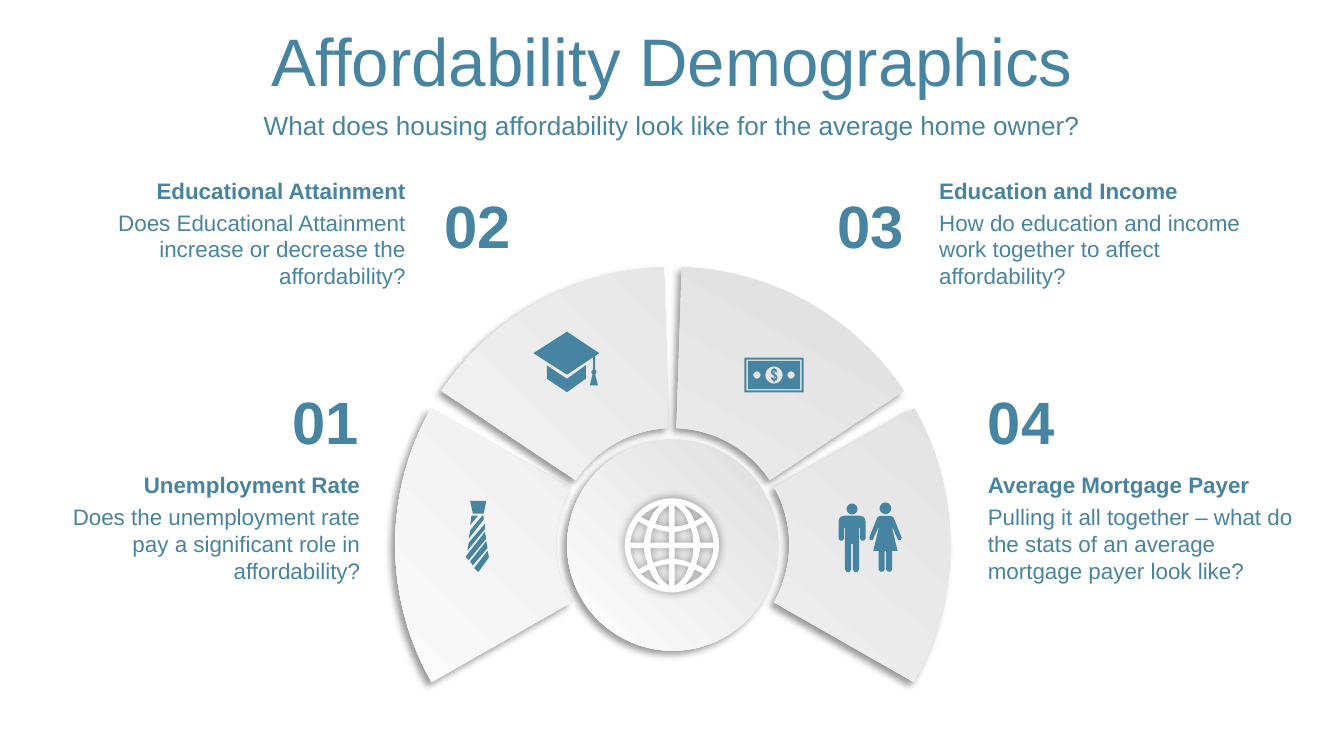
"""Build the Affordability Demographics slide."""
import math

import pptx
import pptx.dml.color
import pptx.enum.shapes
import pptx.enum.text
import pptx.oxml
import pptx.oxml.ns
import pptx.util

Cm = pptx.util.Cm
Pt = pptx.util.Pt
SHAPE = pptx.enum.shapes.MSO_SHAPE
ALIGN = pptx.enum.text.PP_ALIGN
ANCHOR = pptx.enum.text.MSO_ANCHOR
FIT = pptx.enum.text.MSO_AUTO_SIZE


def color(value):
    return pptx.dml.color.RGBColor.from_string(value)


def rectangle(left, top, right, bottom):
    return [(left, top), (right, top), (right, bottom), (left, bottom)]


def disc(x, y, radius, steps=48):
    angles = [2 * math.pi * step / steps for step in range(steps)]
    return [(x + radius * math.cos(a), y + radius * math.sin(a)) for a in angles]


def symmetric(half, center):
    return half + [(2 * center - x, y) for x, y in reversed(half)]


class Slide:
    accent = "4784A1"
    font = "Arial"
    gradient = ("DEDEDE", "FFFFFF")

    def __init__(self, deck):
        self.page = deck.slides.add_slide(deck.slide_layouts[6])

    def text(self, words, left, top, width, height, size, bold=False,
             align=ALIGN.LEFT, wrap=True, anchor=ANCHOR.TOP,
             fit=FIT.SHAPE_TO_FIT_TEXT, parent=None):
        shapes = (parent or self.page).shapes
        box = shapes.add_textbox(Cm(left), Cm(top), Cm(width), Cm(height))
        frame = box.text_frame
        frame.word_wrap = wrap
        frame.auto_size = fit
        frame.vertical_anchor = anchor
        para = frame.paragraphs[0]
        para.alignment = align
        span = para.add_run()
        span.text = words
        span.font.name = self.font
        span.font.size = Pt(size)
        span.font.bold = bold
        span.font.color.rgb = color(self.accent)

    def banner(self, words, top, height, size):
        self.text(words, 0, top, 25.4, height, size, align=ALIGN.CENTER,
                  anchor=ANCHOR.MIDDLE, fit=FIT.NONE)

    def topic(self, heading, question, left, top, align):
        group = self.page.shapes.add_group_shape()
        self.text(question, left, top + 0.6, 6.45, 1.8, 12, align=align, parent=group)
        self.text(heading, left, top, 6.45, 0.76, 12, True, align, parent=group)

    def number(self, words, left, top):
        self.text(words, left, top, 1.78, 1.63, 32, True, wrap=False)

    def shadow(self, shape, blur, distance, angle):
        shape.shadow.inherit = False
        effects = shape._element.spPr.find(pptx.oxml.ns.qn("a:effectLst"))
        effects.append(pptx.oxml.parse_xml(
            f'<a:outerShdw {pptx.oxml.ns.nsdecls("a")} blurRad="{Pt(blur)}" '
            f'dist="{Pt(distance)}" dir="{angle * 60000}" algn="ctr" rotWithShape="0">'
            '<a:srgbClr val="000000"><a:alpha val="40000"/></a:srgbClr></a:outerShdw>'))

    def panel(self, kind, left, top, size, angle=135, adjustments=(), flipped=False):
        shape = self.page.shapes.add_shape(kind, Cm(left), Cm(top), Cm(size), Cm(size))
        for index, value in enumerate(adjustments):
            shape.adjustments[index] = value
        if flipped:
            shape._element.spPr.xfrm.set("flipH", "1")
        shape.fill.gradient()
        shape.fill.gradient_angle = 360 - angle
        for stop, tone in zip(shape.fill.gradient_stops, self.gradient):
            stop.color.rgb = color(tone)
        shape.line.fill.background()
        self.shadow(shape, 4, 3, 135)

    def icon(self, left, top, contours, fill=accent):
        scaled = [[(x * 10, y * 10) for x, y in contour] for contour in contours]
        builder = self.page.shapes.build_freeform(*scaled[0][0], scale=Cm(2.54) / 1000)
        for index, contour in enumerate(scaled):
            if index:
                builder.move_to(*contour[0])
            builder.add_line_segments(contour[1:], close=True)
        shape = builder.convert_to_shape(Cm(left), Cm(top))
        shape.fill.solid()
        shape.fill.fore_color.rgb = color(fill)
        shape.line.fill.background()
        shape.shadow.inherit = False
        return shape


WINDOWS = [
    [(2, 2), (16, 2), (15.5, 8), (14, 13), (8, 11), (2, 10)],
    [(2, 14), (7, 14.5), (12.5, 16), (9.5, 23), (6, 27), (2, 30)],
    [(21, 2), (31, 2), (30, 8), (28, 13), (25, 18), (18, 14), (20, 8)],
    [(17, 18), (23, 21), (20, 24), (15, 27), (9, 30), (14, 24)],
]
GLOBE = [disc(0, 0, 35, 96)] + [
    [(x * across, y * down) for x, y in window]
    for window in WINDOWS for across in (1, -1) for down in (1, -1)]
BILL = [
    rectangle(0, 0, 44, 26), rectangle(1.5, 1.5, 42.5, 24.5), rectangle(2.5, 2.5, 41.5, 23.5),
    disc(22, 13, 6.4), disc(9.3, 13, 2.7), disc(34.7, 13, 2.7),
    [(21.8, 7.6), (22.4, 7.6), (22.4, 8.2), (24, 9), (24.4, 11), (23.4, 11), (22.4, 9.2),
     (22.4, 12.3), (24.2, 13.5), (24.6, 15), (23.9, 16.8), (22.4, 17.4), (22.4, 18.4),
     (21.8, 18.4), (21.8, 17.4), (20.2, 16.5), (19.6, 14.8), (20.7, 14.8), (21.8, 16.3),
     (21.8, 13.2), (20.2, 12.3), (19.8, 10.5), (20.4, 8.8), (21.8, 8.2)],
    [(22.4, 13.4), (23.5, 14.8), (22.4, 16.3)],
    [(21.8, 9.2), (20.9, 10.4), (21.8, 12)],
]
TIE = [
    [(16, 37), (17, 42), (9, 53), (6, 50)],
    [(15, 30), (16, 35), (5, 48), (3, 45)],
    [(14, 23), (15, 28), (2, 44), (0, 42), (0, 41)],
    [(14, 17), (14, 21), (1, 37), (2, 31)],
    [(12, 11), (13, 11), (13, 14), (2, 28), (3, 22)],
    [(4, 11), (9, 11), (3, 18)],
    [(3, 0), (15, 0), (13, 9.5), (5, 9.5)],
]
CAP = [
    [(10, 25), (25, 35), (39, 25), (39, 35), (25, 45), (10, 35)],
    [(25, 0), (49, 16), (46, 18), (46, 28), (47, 30), (46, 32), (48, 40), (42, 40),
     (44, 32), (43, 30), (44.5, 28), (44.5, 19), (25, 32), (0, 16)],
]
MAN = [
    disc(10, 4, 4),
    symmetric([(10, 9), (16, 9), (19, 10), (20, 13), (20, 26), (19, 27.5), (17, 27.5),
               (16, 26), (16, 18), (15.3, 18), (15.3, 49), (14, 51), (12, 51), (10.7, 49),
               (10.7, 30), (10, 30)], 10),
]
WOMAN = [
    disc(12, 4.3, 4.3),
    symmetric([(12, 10), (16, 10), (18, 11), (24, 26), (23.5, 28), (21.5, 28), (17.5, 19),
               (17, 19), (21, 36), (17, 36), (17, 50), (15.8, 51.5), (13.8, 51.5),
               (12.6, 50), (12.6, 36), (12, 36)], 12),
]
LOWER_ARC = (90.19, 125.64, 0.29)
UPPER_ARC = (128.17, 160.88, 0.29)


def main():
    deck = pptx.Presentation()
    deck.slide_width, deck.slide_height = Cm(25.4), Cm(14.29)
    slide = Slide(deck)
    for arc, angle, flipped in ((LOWER_ARC, 135, False), (UPPER_ARC, 135, False),
                                (LOWER_ARC, 50, True), (UPPER_ARC, 60, True)):
        slide.panel(SHAPE.BLOCK_ARC, 7.47, 5.05, 10.49, angle, arc, flipped)
    slide.banner("Affordability Demographics", 0.33, 1.6, 36)
    slide.panel(SHAPE.OVAL, 10.72, 8.31, 3.99)
    globe = slide.icon(12.7, 10.31, GLOBE, "FFFFFF")
    slide.shadow(globe, 5, 0, 0)
    for heading, question, left, top, align in (
            ("Unemployment Rate",
             "Does the unemployment rate pay a significant role in affordability?",
             0.61, 8.79, ALIGN.RIGHT),
            ("Average Mortgage Payer",
             "Pulling it all together – what do the stats of an average mortgage payer look like?",
             18.42, 8.79, ALIGN.LEFT),
            ("Educational Attainment",
             "Does Educational Attainment increase or decrease the affordability?",
             1.47, 3.22, ALIGN.RIGHT),
            ("Education and Income",
             "How do education and income work together to affect affordability?",
             17.5, 3.22, ALIGN.LEFT)):
        slide.topic(heading, question, left, top, align)
    for words, left, top in (("01", 5.28, 7.14), ("02", 8.15, 3.45),
                             ("03", 15.57, 3.45), ("04", 18.42, 7.14)):
        slide.number(words, left, top)
    slide.banner("What does housing affordability look like for the average home owner?",
                 1.96, 0.79, 14)
    for left, top, contours in ((14.07, 6.76, BILL), (8.81, 9.47, TIE), (10.08, 6.27, CAP),
                                (15.85, 9.52, MAN), (16.43, 9.5, WOMAN)):
        slide.icon(left, top, contours)
    deck.save("out.pptx")


if __name__ == "__main__":
    main()
